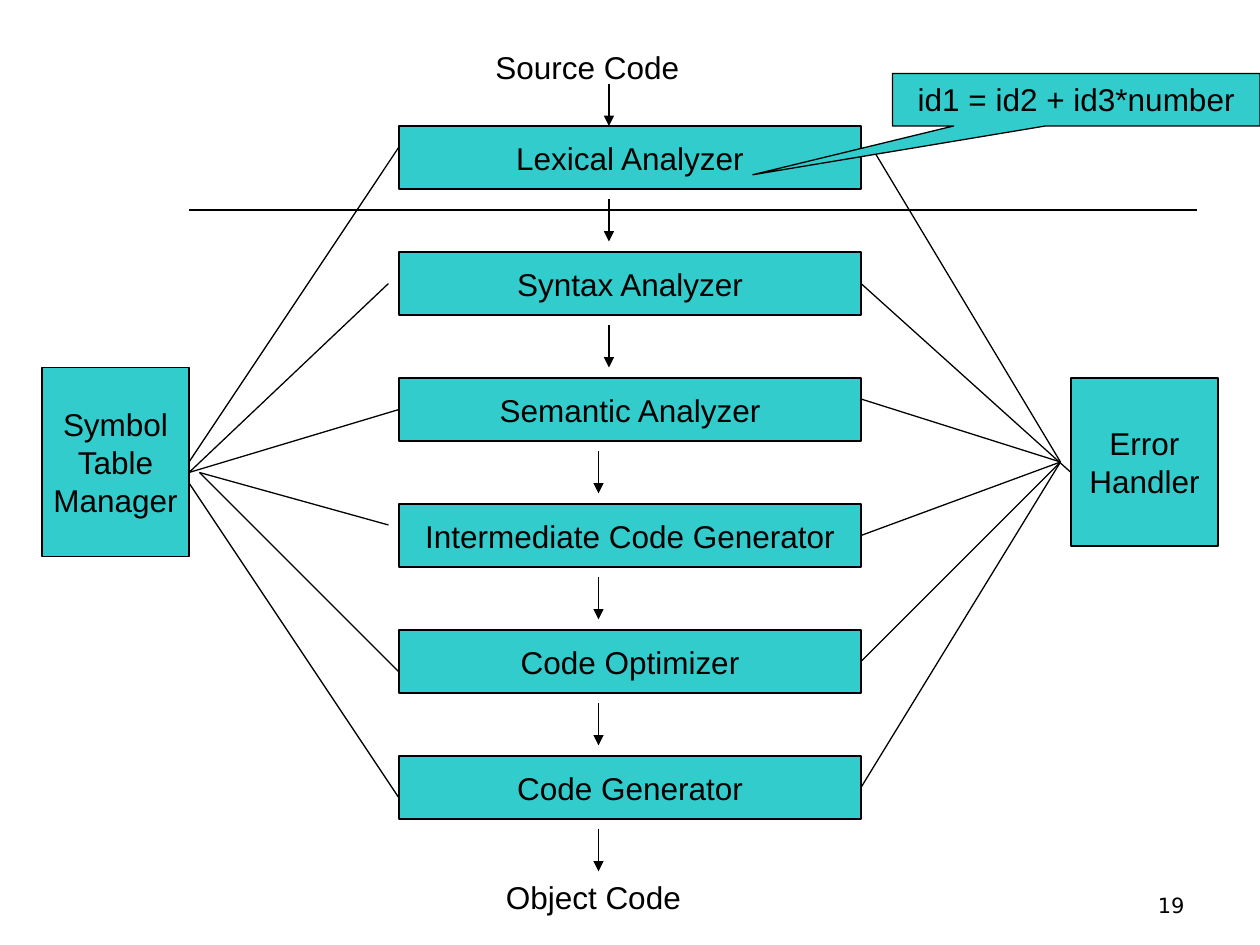
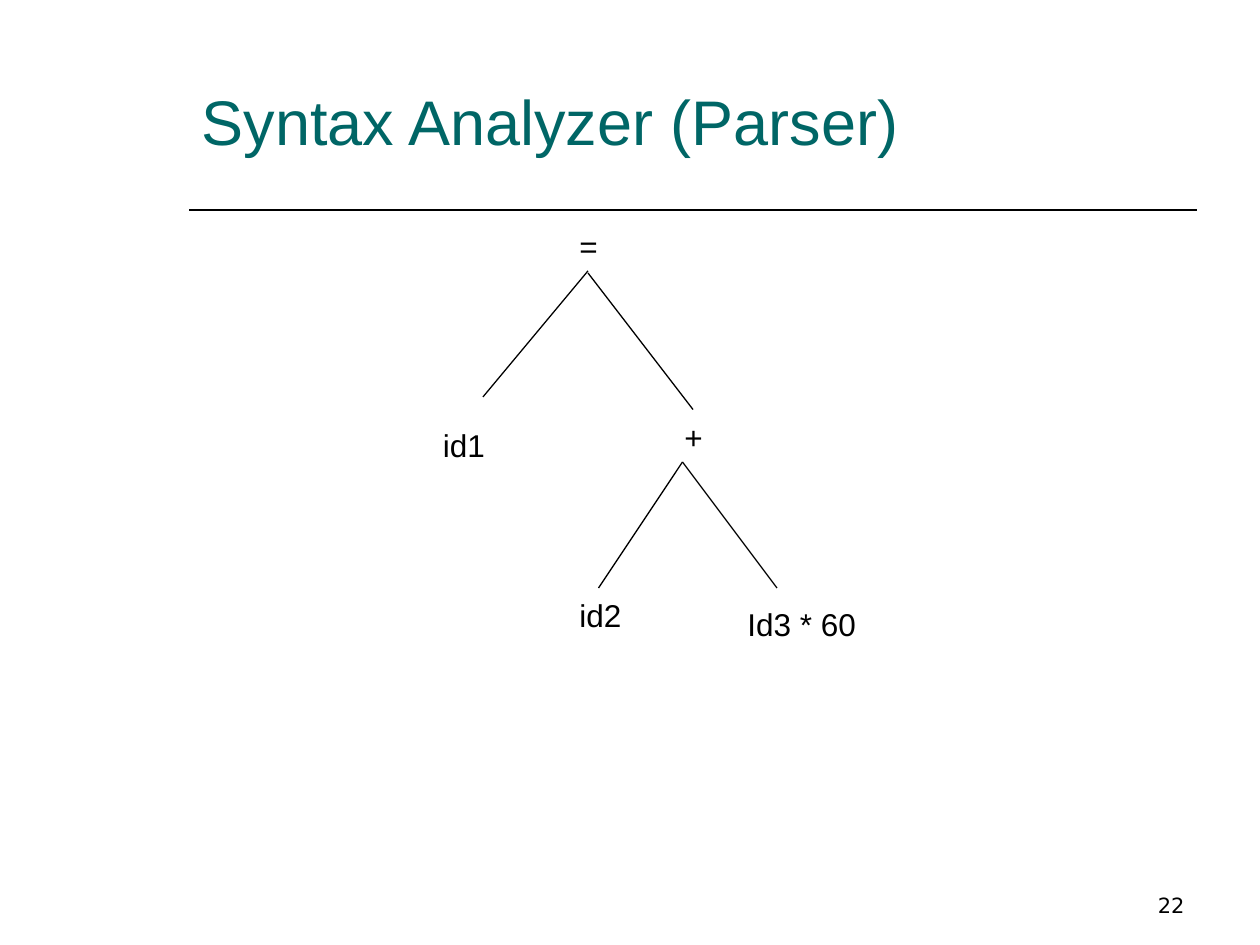
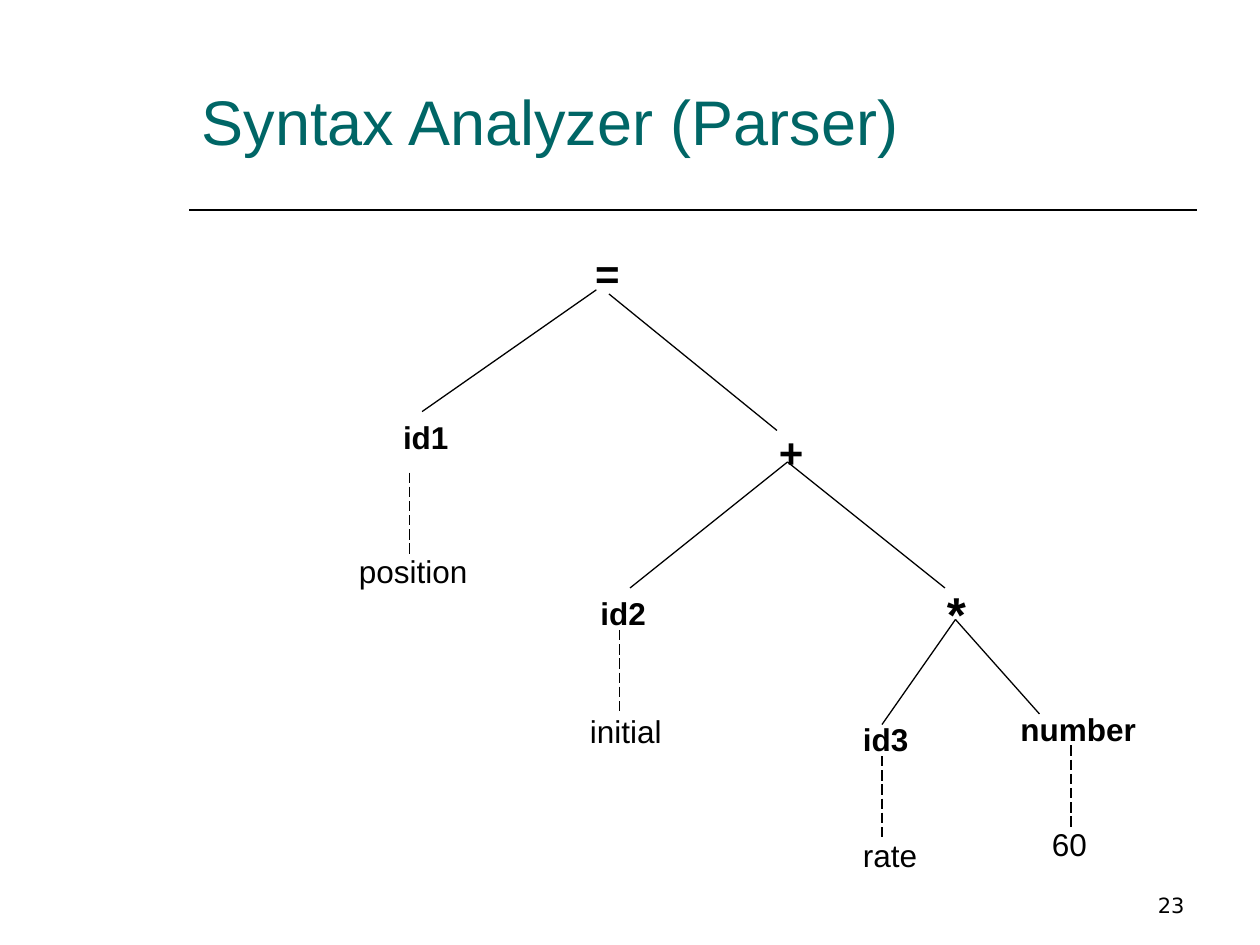
from dataclasses import dataclass
from lxml.etree import SubElement as Sub
from pptx import Presentation
from pptx.dml.color import RGBColor
from pptx.enum.dml import MSO_LINE as Dash
from pptx.enum.shapes import MSO_CONNECTOR as Link, MSO_SHAPE as Form
from pptx.enum.text import MSO_ANCHOR as Anchor, PP_ALIGN as Align
from pptx.oxml.ns import qn
from pptx.util import Inches, Pt

COLS, ROWS = 120, 90
CELL = Inches(10) // COLS
INK, TEAL, AQUA = "000000", "006666", "33CCCC"
FONT = "Arial"
STEP = 12
PHASES = ["Lexical Analyzer", "Syntax Analyzer", "Semantic Analyzer",
          "Intermediate Code Generator", "Code Optimizer", "Code Generator"]


def color(code):
    return RGBColor.from_string(code)


def assign(item, values):
    for name, value in values.items():
        setattr(item, name, value)


def write(shape, text, size=18, bold=False, face=FONT, ink=INK,
          align=Align.LEFT, anchor=Anchor.TOP, wrap=True):
    frame = shape.text_frame
    frame.text = text
    assign(frame, {"word_wrap": wrap, "vertical_anchor": anchor})
    for para in frame.paragraphs:
        para.alignment = align
        assign(para.font, {"size": Pt(size), "bold": bold, "name": face})
        para.font.color.rgb = color(ink)


@dataclass
class Pane:
    slide: object
    left: float
    top: float

    def point(self, x, y):
        return round((self.left + x) * CELL), round((self.top + y) * CELL)

    def label(self, text, x, y, wide, size=18, bold=False, **look):
        high = look.pop("high", 1.2 + size / 5)
        box = self.slide.shapes.add_textbox(
            *self.point(x, y), round(wide * CELL), round(high * CELL))
        write(box, text, size, bold, **look)

    def block(self, text, x, y, wide, high, form=Form.RECTANGLE, **look):
        shape = self.slide.shapes.add_shape(
            form, *self.point(x, y), wide * CELL, high * CELL)
        shape.shadow.inherit = False
        shape.fill.solid()
        shape.fill.fore_color.rgb = color(AQUA)
        shape.line.color.rgb = color(INK)
        shape.line.width = Pt(0.75)
        style = {"align": Align.CENTER, "anchor": Anchor.MIDDLE, "wrap": False}
        write(shape, text, **(style | look))
        return shape

    def edge(self, start, end, width=0.75, dash=None, arrow=False):
        line = self.slide.shapes.add_connector(
            Link.STRAIGHT, *self.point(*start), *self.point(*end))
        line.line.color.rgb = color(INK)
        assign(line.line, {"width": Pt(width), "dash_style": dash})
        props = line.element.spPr
        if arrow:
            Sub(props.find(qn("a:ln")), qn("a:tailEnd"), type="triangle")
        Sub(props, qn("a:effectLst"))


def page(deck, number, title=None):
    slide = deck.slides.add_slide(deck.slide_layouts[5 if title else 6])
    pane = Pane(slide, 0, 0)
    pane.edge((18, 20), (114, 20), width=1)
    pane.label(str(number), 86, 82, 28, size=12, high=6, face="DejaVu Sans",
               align=Align.RIGHT, anchor=Anchor.BOTTOM)
    if title:
        head = slide.shapes.title
        assign(head, {"left": 18 * CELL, "top": 4 * CELL,
                      "width": 96 * CELL, "height": 15 * CELL})
        write(head, title, size=36, ink=TEAL, anchor=Anchor.MIDDLE)
    return slide


def chain(pane):
    pane.label("Source Code", 8, -8, 29)
    pane.edge((20, -4), (20, 0), arrow=True)
    for row, name in enumerate(PHASES):
        y = row * STEP
        pane.block(name, 0, y, 44, 6)
        x = 20 if row < 2 else 19
        pane.edge((x, y + 7), (x, y + 11), arrow=True)
    pane.label("Object Code", 9, 71, 29)


def hub(pane, text, high, rays):
    pane.block(text, 0, 0, 14, high)
    for start, end in rays:
        pane.edge(start, end)


def phases(deck, number):
    slide = page(deck, number)
    chain(Pane(slide, 38, 12))
    hub(Pane(slide, 4, 35), "Symbol\nTable\nManager", 18, [
        ((14, 9), (34, -21)), ((14, 10), (33, -8)), ((14, 10), (34, 4)),
        ((15, 10), (33, 15)), ((15, 10), (34, 29)), ((14, 11), (34, 41))])
    hub(Pane(slide, 102, 36), "Error\nHandler", 16, [
        ((-19, -22), (-1, 8)), ((-20, -9), (0, 9)), ((-20, 2), (-1, 8)),
        ((-20, 15), (-1, 8)), ((-20, 27), (-1, 8)), ((-20, 39), (-1, 8))])
    note = Pane(slide, 85, 7).block(
        "id1 = id2 + id3*number", 0, 0, 35, 5,
        form=Form.RECTANGULAR_CALLOUT, anchor=Anchor.TOP, wrap=True)
    note.adjustments[0] = -0.88
    note.adjustments[1] = 1.43


def tree(pane, labels, edges, drops=()):
    for item in labels:
        pane.label(*item)
    for start, end in edges:
        pane.edge(start, end)
    for x, y in drops:
        pane.edge((x, y), (x, y + 8), dash=Dash.LONG_DASH)


def parser(deck, number, left, *parts):
    slide = page(deck, number, "Syntax Analyzer (Parser)")
    tree(Pane(slide, left, 20), *parts)


def main():
    deck = Presentation()
    assign(deck, {"slide_width": COLS * CELL, "slide_height": ROWS * CELL})
    phases(deck, 19)
    parser(
        deck, 22, 40,
        [("=", 14, 1, 7), ("id1", 1, 20, 12), ("+", 24, 19.2, 9),
         ("id2", 14, 36.2, 10), ("Id3 * 60", 30, 37, 15)],
        [((16, 5.8), (6, 17.8)), ((16, 6), (26, 19)),
         ((25, 24), (17, 36)), ((25, 24), (34, 36))])
    parser(
        deck, 23, 30,
        [("=", 25.5, 3, 11.5, 24, True), ("id1", 7.2, 19.2, 19.8, 18, True),
         ("+", 43, 20, 9, 24, True), ("id2", 26, 36, 10, 18, True),
         ("*", 59, 35, 11, 28, True), ("id3", 51, 48, 10, 18, True),
         ("number", 66, 47, 16, 18, True), ("position", 3, 32, 16),
         ("initial", 25, 47.2, 16), ("rate", 51, 59, 14), ("60", 69, 58, 10)],
        [((26.8, 7.6), (10.2, 19.2)), ((28, 8), (44, 21)),
         ((45, 24), (30, 36)), ((45, 24), (60, 36)),
         ((61, 39), (54, 49)), ((61, 39), (69, 48))],
        [(9, 25), (29, 40), (54, 52), (72, 51)])
    deck.save("out.pptx")


if __name__ == "__main__":
    main()
